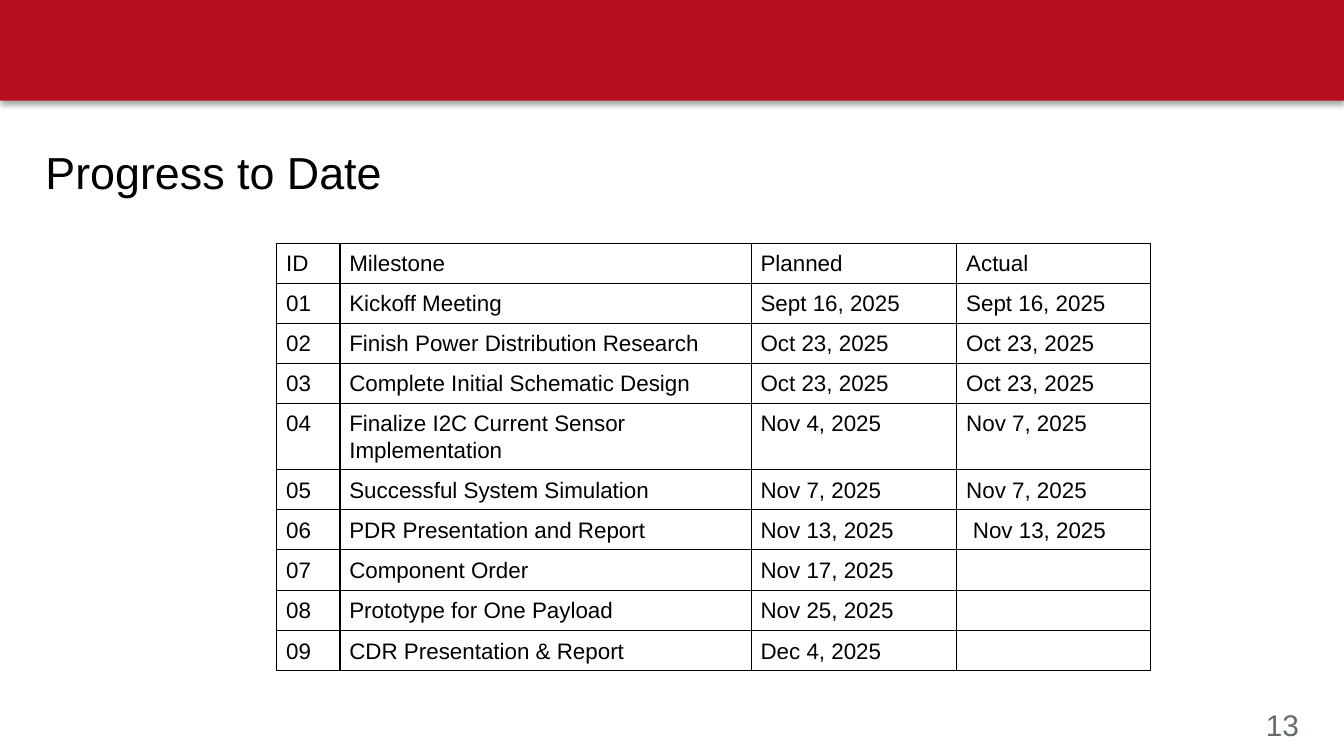
from pptx import Presentation
from pptx.dml.color import RGBColor
from pptx.enum import shapes
from pptx.oxml import parse_xml
from pptx.oxml.ns import nsdecls
from pptx.util import Inches, Pt

RED = RGBColor(0xB7, 0x0F, 0x20)
BLACK = RGBColor(0, 0, 0)
GRAY = RGBColor(0x63, 0x6D, 0x6E)

# Content
TITLE = "Progress to Date"
PAGE = "13"
MILESTONES = [
    ("ID", "Milestone", "Planned", "Actual"),
    ("01", "Kickoff Meeting", "Sept 16, 2025", "Sept 16, 2025"),
    ("02", "Finish Power Distribution Research", "Oct 23, 2025", "Oct 23, 2025"),
    ("03", "Complete Initial Schematic Design", "Oct 23, 2025", "Oct 23, 2025"),
    ("04", "Finalize I2C Current Sensor Implementation", "Nov 4, 2025", "Nov 7, 2025"),
    ("05", "Successful System Simulation", "Nov 7, 2025", "Nov 7, 2025"),
    ("06", "PDR Presentation and Report", "Nov 13, 2025", "Nov 13, 2025"),
    ("07", "Component Order", "Nov 17, 2025", ""),
    ("08", "Prototype for One Payload", "Nov 25, 2025", ""),
    ("09", "CDR Presentation & Report", "Dec 4, 2025", ""),
]
COLUMN_WIDTHS = [0.47, 3.06, 1.53, 1.44]
MIN_ROW_HEIGHT = 0.21  # rows grow to fit their text
TABLE_HEIGHT = 3.14
INDENTED_CELL = (6, 3)


def write(frame, content, size, color=BLACK, spacing=None):
    paragraph = frame.paragraphs[0]
    if spacing:
        paragraph.line_spacing = Pt(spacing)
    if content:
        run = paragraph.add_run()
        run.text = content
        run.font.name = "Arial"
        run.font.size = Pt(size)
        run.font.color.rgb = color
    else:  # keeps the row of an empty cell from growing
        paragraph._p.append(parse_xml(
            f'<a:endParaRPr {nsdecls("a")} sz="{size * 100}"/>'))


def add_label(slide, content, box, size, wrap=True, color=BLACK):
    frame = slide.shapes.add_textbox(*map(Inches, box)).text_frame
    frame.word_wrap = wrap
    write(frame, content, size, color)


def add_borders(cell):
    properties = cell._tc.get_or_add_tcPr()
    for index, side in enumerate(("lnL", "lnR", "lnT", "lnB")):
        properties.insert(index, parse_xml(
            f'<a:{side} {nsdecls("a")} w="{Pt(0.75)}"><a:solidFill>'
            f'<a:srgbClr val="{BLACK}"/></a:solidFill></a:{side}>'))


# 16:9 slide
deck = Presentation()
deck.slide_width = Inches(10)
deck.slide_height = deck.slide_width * 9 // 16
slide = deck.slides.add_slide(deck.slide_layouts[6])

# Red banner with a soft shadow below
banner = slide.shapes.add_shape(
    shapes.MSO_SHAPE.RECTANGLE, 0, 0, deck.slide_width, Inches(0.75))
banner.fill.solid()
banner.fill.fore_color.rgb = RED
banner.line.fill.background()
banner.shadow.inherit = False
effects = banner._element.spPr.find("{*}effectLst")
effects.append(parse_xml(
    f'<a:outerShdw {nsdecls("a")} blurRad="{Pt(3.1)}" dist="{Pt(1.8)}" dir="5400000" '
    f'rotWithShape="0"><a:srgbClr val="{BLACK}"><a:alpha val="35000"/></a:srgbClr>'
    '</a:outerShdw>'))

# Page number and title
add_label(slide, PAGE, (9.32, 5.21, 0.48, 0.37), 16, wrap=False, color=GRAY)
add_label(slide, TITLE, (0.24, 1.03, 3.5, 0.5), 24)

# Milestone table
table_frame = slide.shapes.add_table(
    len(MILESTONES), len(COLUMN_WIDTHS), Inches(2.06), Inches(1.81),
    Inches(sum(COLUMN_WIDTHS)), Inches(TABLE_HEIGHT))
table = table_frame.table
table.first_row = table.horz_banding = False
for column, width in zip(table.columns, COLUMN_WIDTHS):
    column.width = Inches(width)
for r, milestone in enumerate(MILESTONES):
    table.rows[r].height = Inches(MIN_ROW_HEIGHT)
    for c, entry in enumerate(milestone):
        cell = table.cell(r, c)
        cell.margin_left = Inches(0.12 if (r, c) == INDENTED_CELL else 0.07)
        cell.margin_right = Inches(0.07)
        cell.margin_top = cell.margin_bottom = Inches(0.05)
        cell.fill.background()
        add_borders(cell)
        write(cell.text_frame, entry, 12, spacing=14.2)
table_frame.height = Inches(TABLE_HEIGHT)

deck.save("out.pptx")
